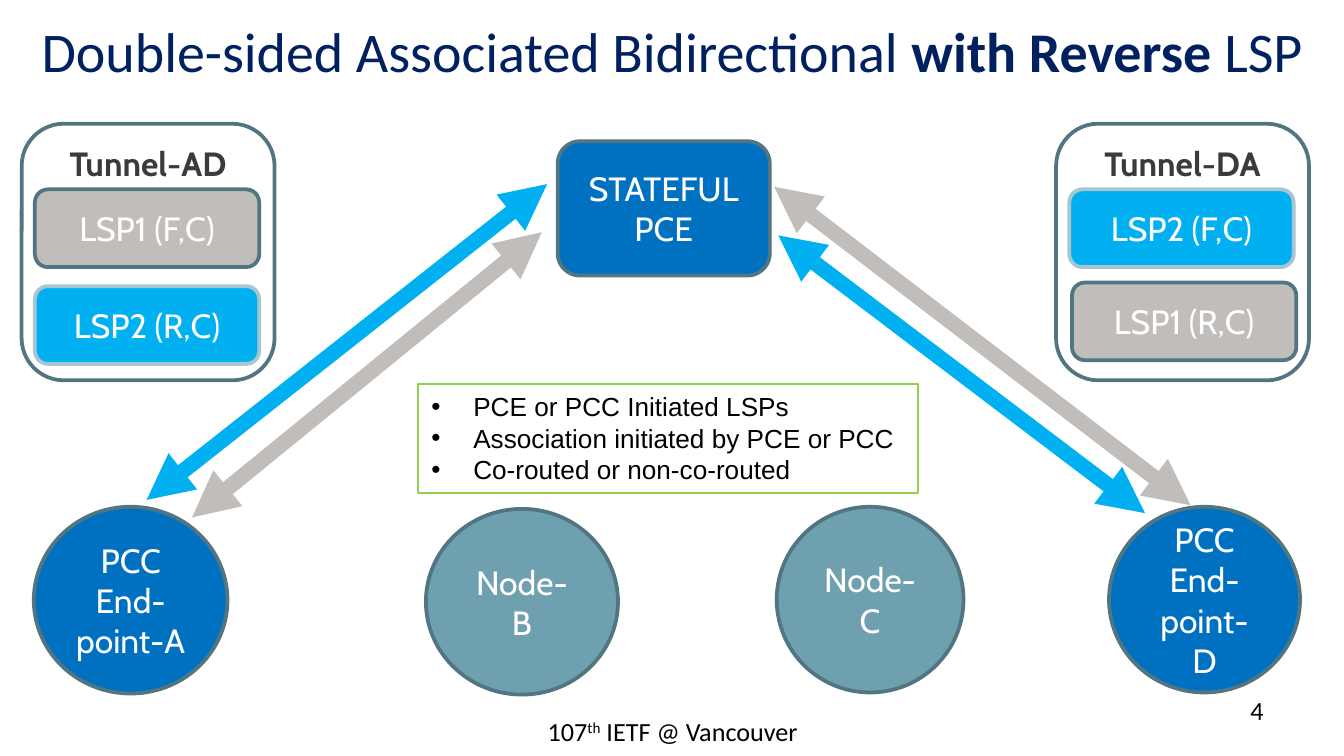
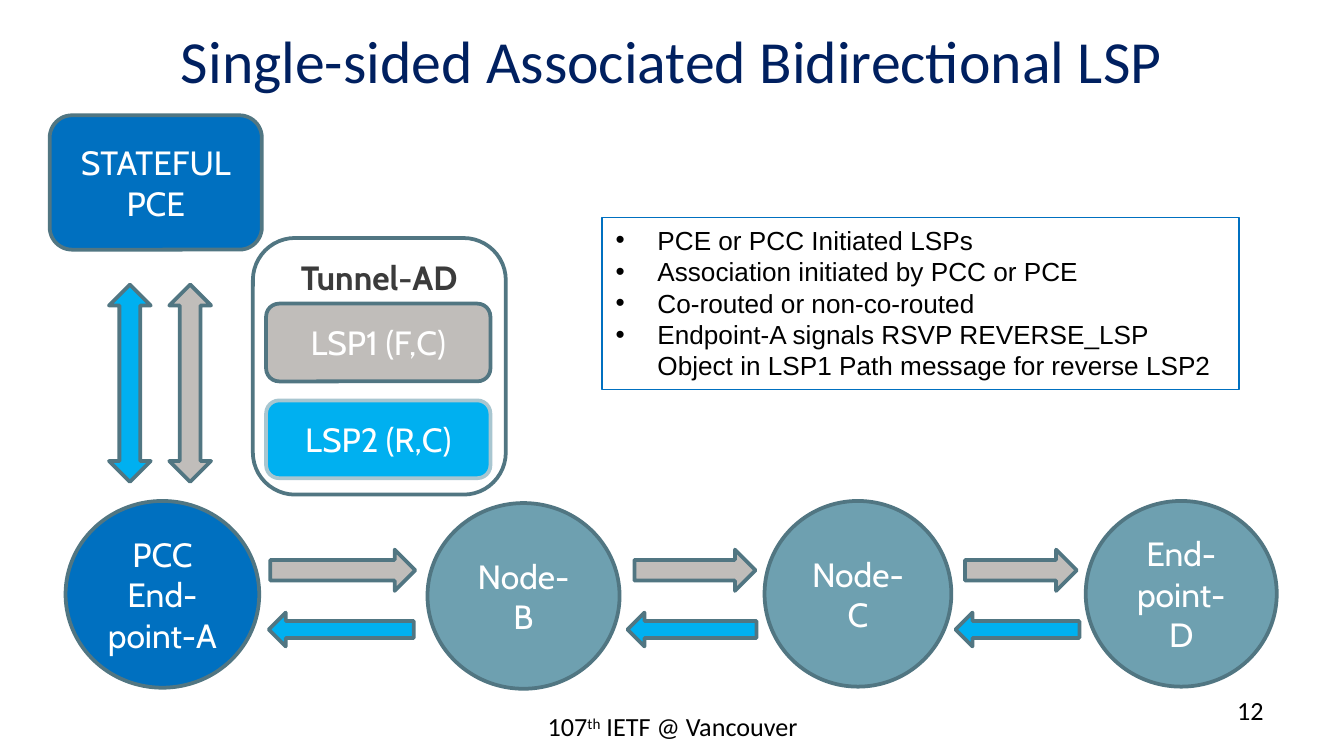
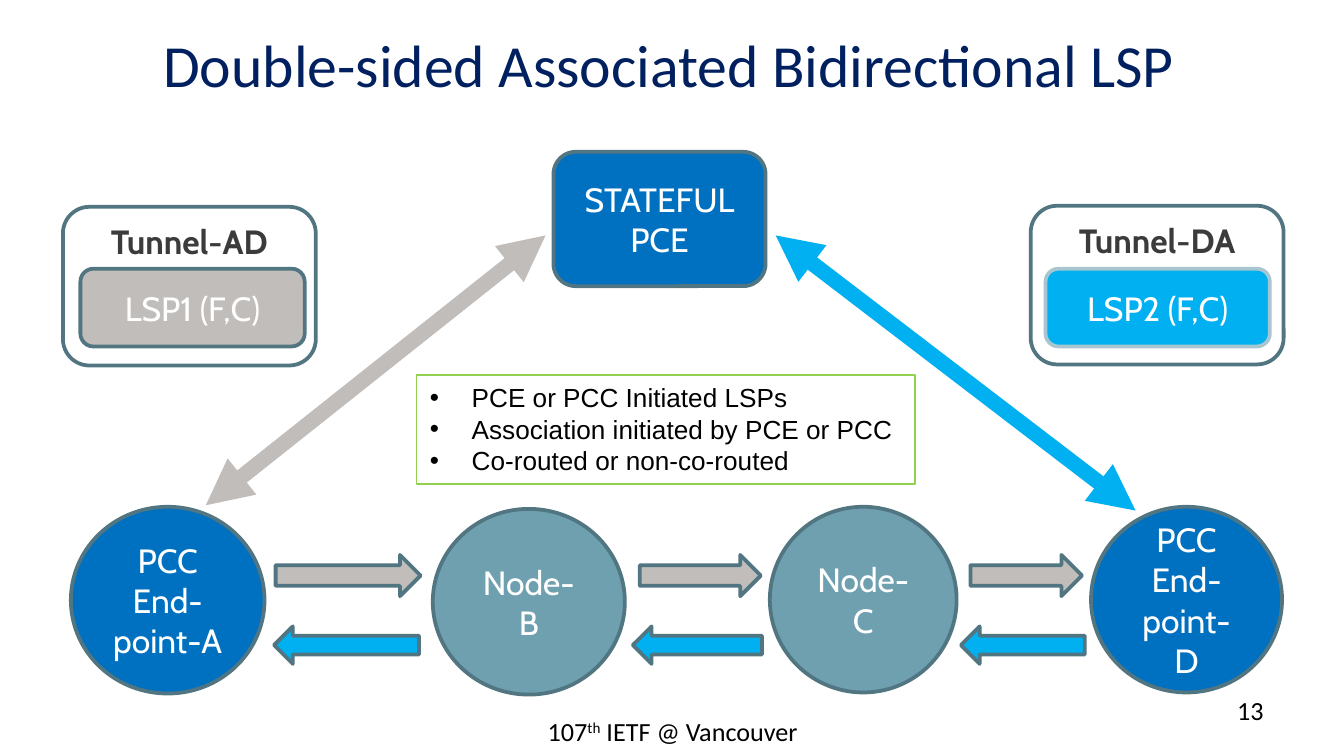
"""Build three slides on associated bidirectional LSPs."""
from lxml.etree import SubElement
from pptx import Presentation
from pptx.dml.color import RGBColor
from pptx.enum.shapes import MSO_CONNECTOR, MSO_SHAPE
from pptx.enum.text import MSO_ANCHOR, MSO_AUTO_SIZE, PP_ALIGN
from pptx.oxml.ns import qn
from pptx.util import Cm, Pt

HUES = {
    "navy": "002060", "blue": "0070C0", "sky": "00B0F0", "pale": "A8C6D0",
    "teal": "6EA0B0", "edge": "517682", "gray": "C0BDBA", "green": "92D050",
    "dark": "3B3B3B", "white": "FFFFFF", "black": "000000",
}
NODES = ((0, 3.66, 3.53), (0.04, 3.63, 3.51), (0, 3.53, 3.51), (0, 3.61, 3.51))
FLOWS = ((5.11, 2.74), (11.99, 2.29), (18.24, 2.11))
BACKS = ((5.08, 2.74), (11.86, 2.44), (18.06, 2.34))
LEFTS = (1.24, 8.08, 14.45, 20.52)
NAMES = ("PCC End-point-A", "Node-B", "Node-C", "PCC End-point-D")
FACTS = ("PCE or PCC Initiated LSPs", "Association initiated by PCE or PCC",
         "Co-routed or non-co-routed")


def hue(name):
    return RGBColor.from_string(HUES[name])


def place(item, left, top, width, height):
    item.left, item.top = Cm(left), Cm(top)
    item.width, item.height = Cm(width), Cm(height)


def write(para, text, size, font, tint, bold=False):
    run = para.add_run()
    run.text = text
    run.font.size = Pt(size)
    run.font.name = font
    run.font.bold = bold
    run.font.color.rgb = hue(tint)
    return run


def shape(page, kind, box, fill, text="", edge="edge", tint="white", bold=False):
    item = page.shapes.add_shape(kind, *map(Cm, box))
    item.shadow.inherit = False
    item.fill.solid()
    item.fill.fore_color.rgb = hue(fill)
    item.line.color.rgb = hue(edge)
    item.line.width = Pt(2)
    if text:
        para = item.text_frame.paragraphs[0]
        para.alignment = PP_ALIGN.CENTER
        write(para, text, 18, "Cabin", tint, bold)
    return item


def label(page, box, align, parts):
    item = page.shapes.add_textbox(*map(Cm, box))
    item.text_frame.word_wrap = True
    para = item.text_frame.paragraphs[0]
    para.alignment = align
    return [write(para, part, 14, "Calibri", "black") for part in parts]


def start(deck, parts, box, size, number, foot=13.39):
    page = deck.slides.add_slide(deck.slide_layouts[1])
    title = page.shapes.title
    place(title, *box)
    frame = title.text_frame
    frame.auto_size = MSO_AUTO_SIZE.NONE
    frame.vertical_anchor = MSO_ANCHOR.MIDDLE
    para = frame.paragraphs[0]
    para.alignment = PP_ALIGN.CENTER
    for text, bold in parts:
        write(para, text, size, "Calibri", "navy", bold)
    runs = label(page, (8.69, foot, 8.05, 0.99), PP_ALIGN.CENTER,
                 ("107", "th", " IETF @ Vancouver"))
    runs[1].font._element.set("baseline", "30000")
    label(page, (18.21, 13, 5.92, 0.99), PP_ALIGN.RIGHT, (number,))
    return page


def facts(page, box, lines, edge="green"):
    body = page.placeholders[1]
    place(body, *box)
    body.line.color.rgb = hue(edge)
    body.line.width = Pt(0.75)
    frame = body.text_frame
    frame.auto_size = MSO_AUTO_SIZE.NONE
    frame.vertical_anchor = MSO_ANCHOR.TOP
    for spot, text in enumerate(lines):
        para = frame.add_paragraph() if spot else frame.paragraphs[0]
        para.space_before = Pt(0)
        props = para._p.get_or_add_pPr()
        props.set("marL", str(Cm(0.79)))
        props.set("indent", str(-Cm(0.79)))
        SubElement(props, qn("a:buFont")).set("typeface", "Arial")
        SubElement(props, qn("a:buChar")).set("char", "\u2022")
        write(para, text, 14, "Arial", "black")


def server(page, left, top):
    shape(page, MSO_SHAPE.ROUNDED_RECTANGLE, (left, top, 4.01, 2.54), "blue",
          "STATEFUL PCE")


def nodes(page, lefts, top, names=NAMES):
    for left, name, (drop, width, height) in zip(lefts, names, NODES):
        fill = "blue" if name.startswith("PCC") else "teal"
        shape(page, MSO_SHAPE.OVAL, (left, top + drop, width, height), fill, name)


def tunnel(page, left, top, height, name, paths):
    item = shape(page, MSO_SHAPE.ROUNDED_RECTANGLE, (left, top, 4.78, height),
                 "white", name, tint="dark", bold=True)
    item.text_frame.vertical_anchor = MSO_ANCHOR.TOP
    for text, right, down in paths:
        fill, edge = ("gray", "edge") if text.startswith("LSP1") else ("sky", "pale")
        shape(page, MSO_SHAPE.ROUNDED_RECTANGLE,
              (left + right, top + down, 4.24, 1.47), fill, text, edge)


def flows(page, shift, top, low, thick):
    for left, width in FLOWS:
        shape(page, MSO_SHAPE.RIGHT_ARROW, (left + shift, top, width, 0.78), "gray")
    for left, width in BACKS:
        shape(page, MSO_SHAPE.LEFT_ARROW, (left + shift, low, width, thick), "sky")


def link(page, ends, tint):
    item = page.shapes.add_connector(MSO_CONNECTOR.STRAIGHT, *map(Cm, ends))
    item.line.color.rgb = hue(tint)
    item.line.width = Pt(8.25)
    edge = item.line._get_or_add_ln()
    for end in ("a:headEnd", "a:tailEnd"):
        SubElement(edge, qn(end)).set("type", "triangle")
    SubElement(item._element.spPr, qn("a:effectLst"))


def reverse(deck):
    page = start(deck, (("Double-sided Associated Bidirectional ", False),
                        ("with Reverse ", True), ("LSP", False)),
                 (0, -0.25, 25.4, 2.39), 30, "4")
    server(page, 10.54, 2.67)
    nodes(page, (0.64, 8.05, 14.68, 20.96), 9.58)
    facts(page, (7.9, 7.26, 9.45, 2.06), FACTS)
    link(page, (10.24, 4.39, 3.63, 9.78), "gray")
    link(page, (14.71, 4.45, 21.64, 9.7), "sky")
    tunnel(page, 0.41, 2.34, 4.85, "Tunnel-AD",
           (("LSP1 (F,C)", 0.25, 1.24), ("LSP2 (R,C)", 0.25, 3.07)))
    tunnel(page, 19.96, 2.34, 4.85, "Tunnel-DA",
           (("LSP1 (R,C)", 0.3, 3), ("LSP2 (F,C)", 0.25, 1.24)))
    link(page, (2.77, 9.45, 10.34, 3.48), "sky")
    link(page, (22.5, 9.55, 14.63, 3.53), "gray")


def single(deck):
    page = start(deck, (("Single-sided Associated Bidirectional LSP", False),),
                 (0, 0.03, 25.4, 2.18), 32, "12", 13.31)
    tunnel(page, 4.78, 4.5, 4.85, "Tunnel-AD",
           (("LSP1 (F,C)", 0.25, 1.24), ("LSP2 (R,C)", 0.25, 3.07)))
    server(page, 0.94, 2.18)
    nodes(page, LEFTS, 9.47, NAMES[:3] + ("End-point-D",))
    flows(page, 0, 10.39, 11.58, 0.64)
    facts(page, (11.38, 4.11, 12.04, 3.25),
          (FACTS[0], "Association initiated by PCC or PCE", FACTS[2],
           "Endpoint-A signals RSVP REVERSE_LSP Object in LSP1 Path message "
           "for reverse LSP2"), "blue")
    for left, fill in ((3.2, "gray"), (2.06, "sky")):
        shape(page, MSO_SHAPE.UP_DOWN_ARROW, (left, 5.38, 0.79, 3.73), fill)


def double(deck):
    page = start(deck, (("Double-sided Associated Bidirectional LSP", False),),
                 (-0.05, 0, 25.4, 2.39), 32, "13")
    tunnel(page, 19.48, 3.89, 3, "Tunnel-DA", (("LSP2 (F,C)", 0.28, 1.19),))
    tunnel(page, 1.19, 3.91, 3, "Tunnel-AD", (("LSP1 (F,C)", 0.33, 1.17),))
    server(page, 10.46, 2.87)
    nodes(page, [left + 0.1 for left in LEFTS], 9.58)
    flows(page, 0.1, 10.49, 11.84, 0.71)
    facts(page, (7.87, 7.09, 9.42, 2.06), FACTS)
    link(page, (10.31, 4.45, 3.89, 9.55), "gray")
    link(page, (14.66, 4.45, 21.46, 9.65), "sky")


def main():
    deck = Presentation()
    deck.slide_width, deck.slide_height = Cm(25.4), Cm(14.29)
    reverse(deck)
    single(deck)
    double(deck)
    deck.save("out.pptx")


main()
